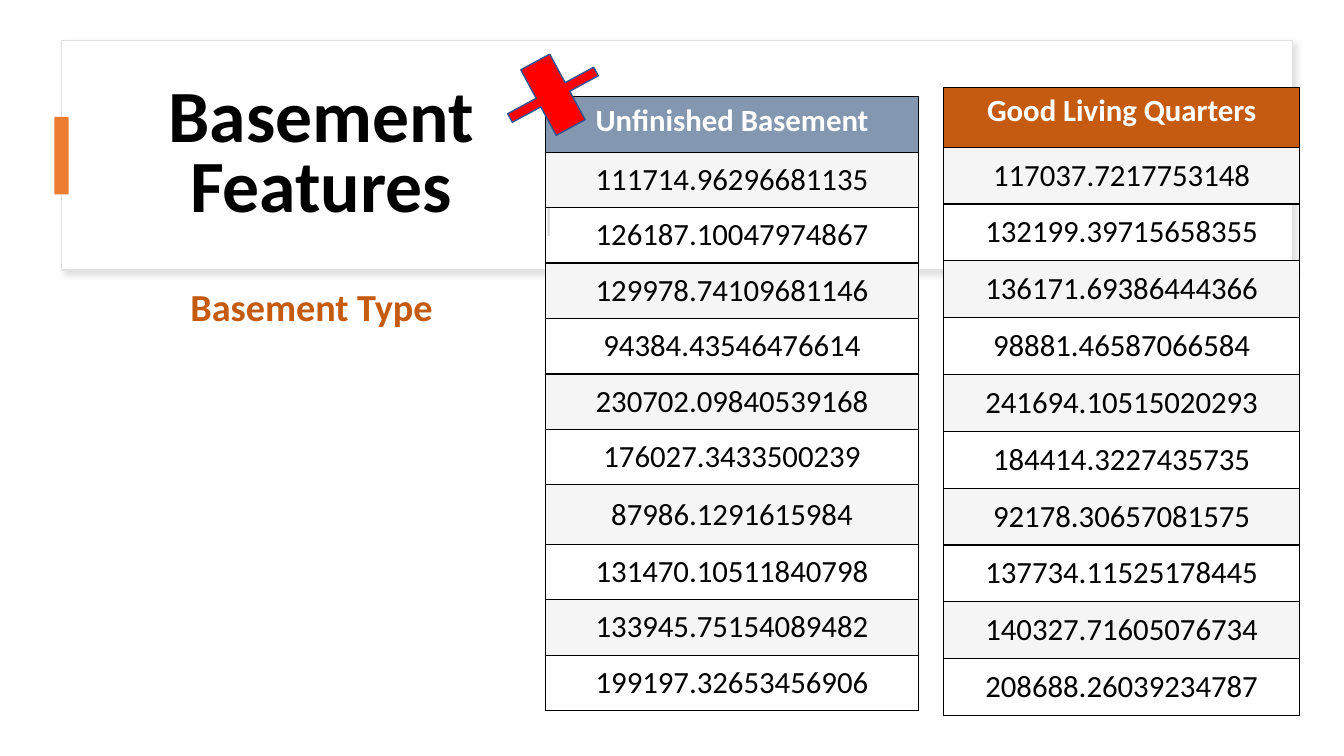
"""Build the basement features slide with its two price tables."""
import lxml.etree
import pptx
import pptx.dml.color
import pptx.enum.shapes
import pptx.enum.text
import pptx.oxml
import pptx.oxml.ns
import pptx.util

Inches, Pt = pptx.util.Inches, pptx.util.Pt
SHAPE = pptx.enum.shapes.MSO_SHAPE
ALIGN = pptx.enum.text.PP_ALIGN
MIDDLE = pptx.enum.text.MSO_ANCHOR.MIDDLE
FONT = "Calibri"
BLACK, WHITE, BAND, ORANGE = "000000", "FFFFFF", "F5F5F5", "C55A11"

TITLE = "Basement Features"
SUBTITLE = "Basement Type"
TABLES = [
    {
        "head": "Unfinished Basement", "color": "8497B0", "at": (5.41, 0.96, 3.7),
        "rows": [0.55] * 7 + [0.59] + [0.55] * 3,
        "values": ["111714.96296681135", "126187.10047974867", "129978.74109681146",
                   "94384.43546476614", "230702.09840539168", "176027.3433500239",
                   "87986.1291615984", "131470.10511840798", "133945.75154089482",
                   "199197.32653456906"],
    },
    {
        "head": "Good Living Quarters", "color": ORANGE, "at": (9.36, 0.87, 3.53),
        "rows": [0.59] + [0.564] * 10,
        "values": ["117037.7217753148", "132199.39715658355", "136171.69386444366",
                   "98881.46587066584", "241694.10515020293", "184414.3227435735",
                   "92178.30657081575", "137734.11525178445", "140327.71605076734",
                   "208688.26039234787"],
    },
]
SHADOW = """<a:effectLst xmlns:a="http://schemas.openxmlformats.org/drawingml/2006/main">
<a:outerShdw blurRad="50800" dist="38100" dir="2700000" algn="tl" rotWithShape="0">
<a:srgbClr val="C5C3C3"><a:alpha val="50000"/></a:srgbClr></a:outerShdw></a:effectLst>"""


def rgb(color):
    """Return the colour of a hex string."""
    return pptx.dml.color.RGBColor.from_string(color)


def add_block(s, kind, at, fill, line=None, rotation=0):
    """Add a filled preset shape."""
    sp = s.shapes.add_shape(kind, *map(Inches, at))
    sp.shadow.inherit = False
    sp.fill.solid()
    sp.fill.fore_color.rgb = rgb(fill)
    sp.rotation = rotation
    if line:
        sp.line.color.rgb = rgb(line)
        sp.line.width = Pt(1)
    else:
        sp.line.fill.background()
    return sp


def write(tf, text, size, color, bold, align, spacing=None):
    """Put one formatted paragraph in a text frame."""
    tf.text = text
    tf.word_wrap = True
    p = tf.paragraphs[0]
    p.alignment = align
    p.line_spacing = spacing
    font = p.runs[0].font
    font.name, font.size, font.bold = FONT, Pt(size), bold
    font.color.rgb = rgb(color)


def add_borders(cell):
    """Draw a thin black line on each side of a cell."""
    tcPr = cell._tc.get_or_add_tcPr()
    for side in ("a:lnL", "a:lnR", "a:lnT", "a:lnB"):
        ln = lxml.etree.SubElement(tcPr, pptx.oxml.ns.qn(side), w=str(Pt(1)))
        fill = lxml.etree.SubElement(ln, pptx.oxml.ns.qn("a:solidFill"))
        lxml.etree.SubElement(fill, pptx.oxml.ns.qn("a:srgbClr"), val=BLACK)


def add_prices(s, data):
    """Add a one-column table with a coloured head and banded rows."""
    texts = [data["head"]] + data["values"]
    left, top, width = data["at"]
    box = map(Inches, (left, top, width, sum(data["rows"])))
    table = s.shapes.add_table(len(texts), 1, *box).table
    for i, (text, height) in enumerate(zip(texts, data["rows"])):
        table.rows[i].height = Inches(height)
        cell = table.cell(i, 0)
        head = i == 0
        write(cell.text_frame, text, 22, WHITE if head else BLACK, head, ALIGN.CENTER)
        add_borders(cell)
        if not head:
            cell.vertical_anchor = MIDDLE
        if head or i % 2:
            cell.fill.solid()
            cell.fill.fore_color.rgb = rgb(data["color"] if head else BAND)
        else:
            cell.fill.background()


prs = pptx.Presentation()
prs.slide_width, prs.slide_height = Inches(13.33), Inches(7.5)
s = prs.slides.add_slide(prs.slide_layouts[5])

panel = add_block(s, SHAPE.RECTANGLE, (0.61, 0.4, 12.21, 2.28), WHITE, "E1E1E1")
spPr = panel.element.spPr
spPr.replace(spPr.find(pptx.oxml.ns.qn("a:effectLst")), pptx.oxml.parse_xml(SHADOW))
add_block(s, SHAPE.RECTANGLE, (0.54, 1.16, 0.14, 0.77), "ED7D31")
add_block(s, SHAPE.RECTANGLE, (4.64, 1.53, 1.6, 0.02), "D5D5D5", rotation=90)

title = s.shapes.title
title.element.getparent().append(title.element)
title.left, title.top, title.width, title.height = map(Inches, (1.21, 0.71, 3.95, 1.68))
subtitle = s.shapes.add_textbox(*map(Inches, (1.79, 2.46, 6.79, 1.21)))
write(title.text_frame, TITLE, 52.6, BLACK, True, ALIGN.CENTER, 0.8)
write(subtitle.text_frame, SUBTITLE, 27.3, ORANGE, True, ALIGN.LEFT, 0.9)
for sp in (title, subtitle):
    sp.text_frame.vertical_anchor = MIDDLE
    sp.text_frame.auto_size = pptx.enum.text.MSO_AUTO_SIZE.NONE

for data in TABLES:
    add_prices(s, data)

cross = add_block(s, SHAPE.CROSS, (5, 0.57, 0.97, 0.74), "FF0000", "325491", 331.6)
cross.adjustments[0] = 0.435

prs.save("out.pptx")
